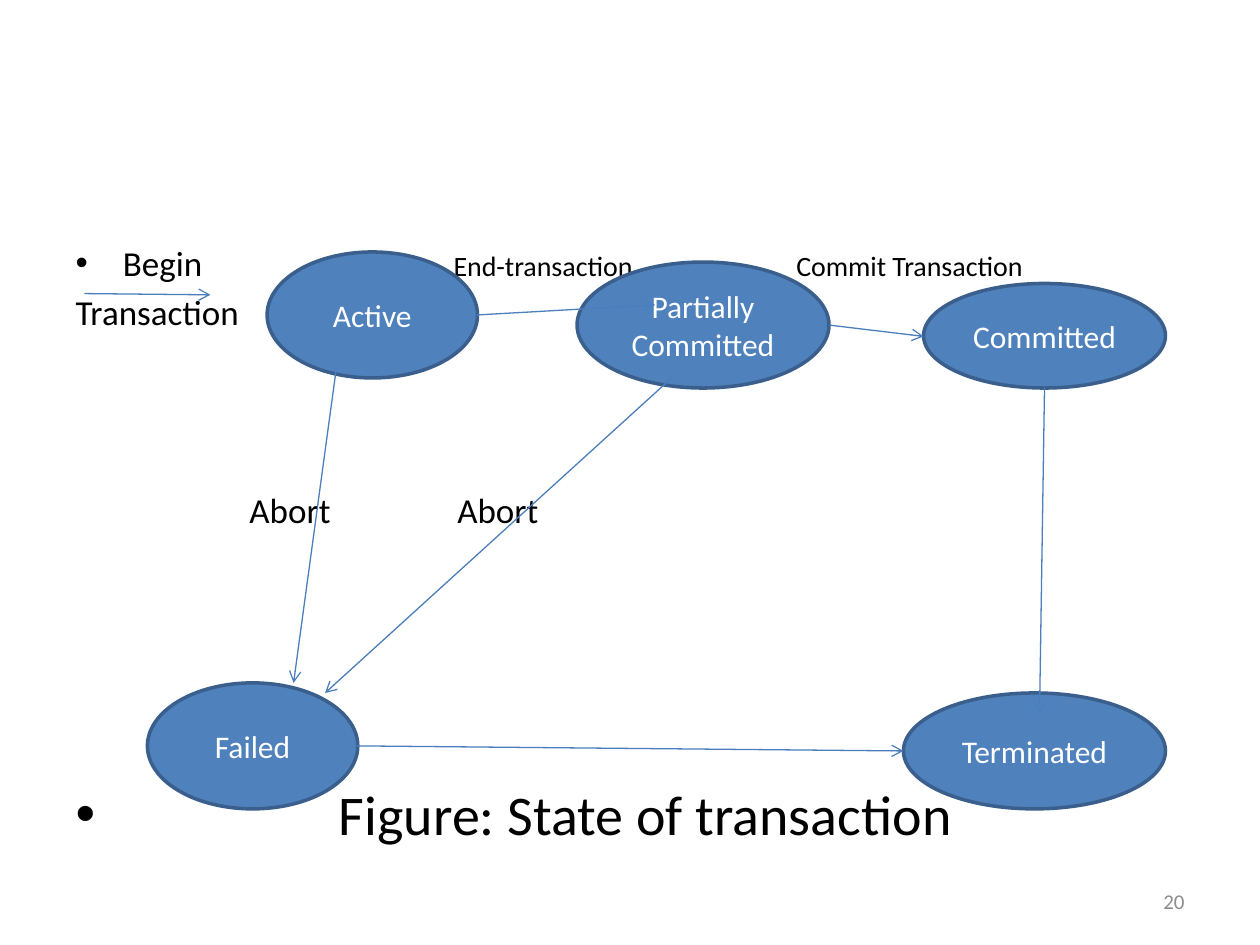
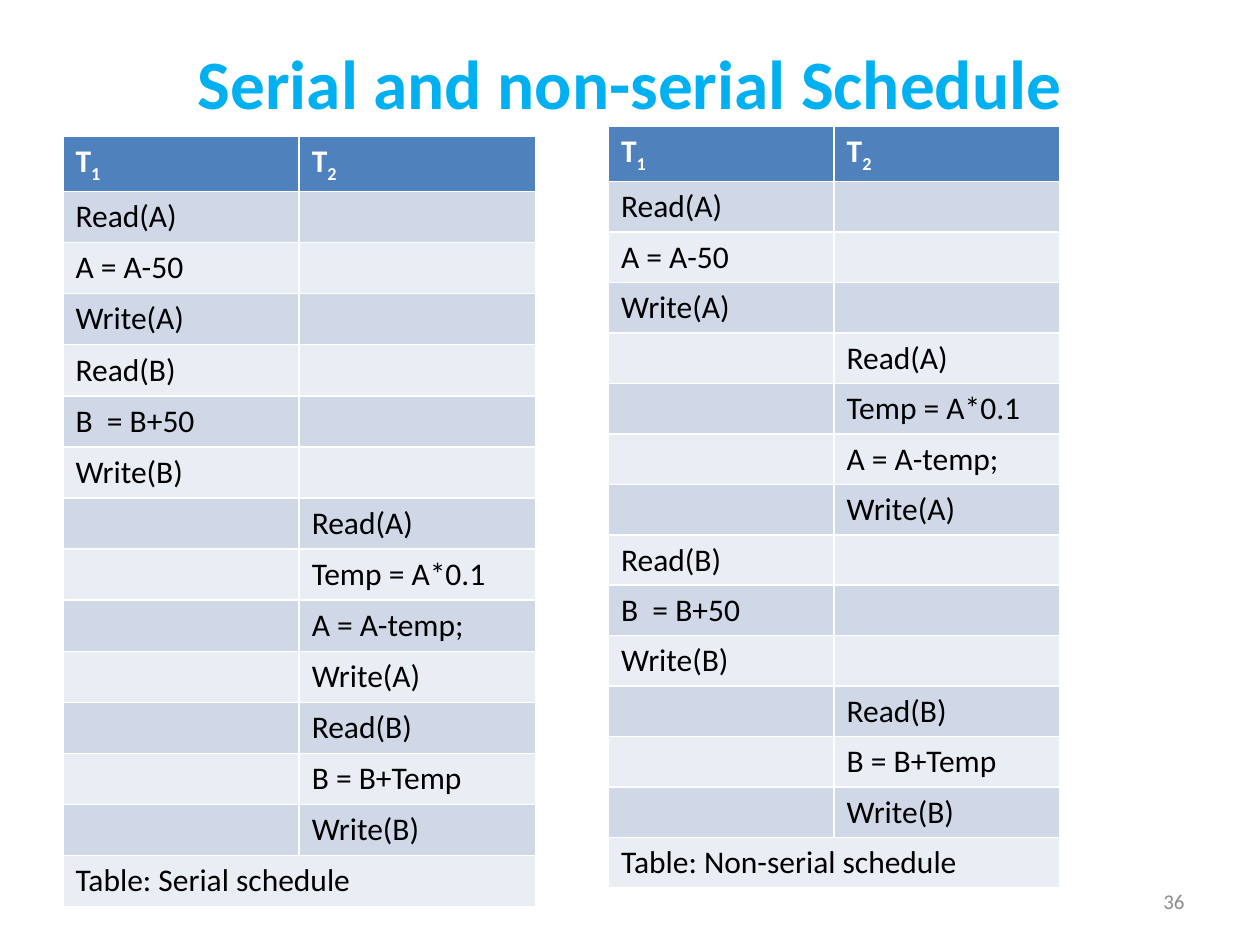
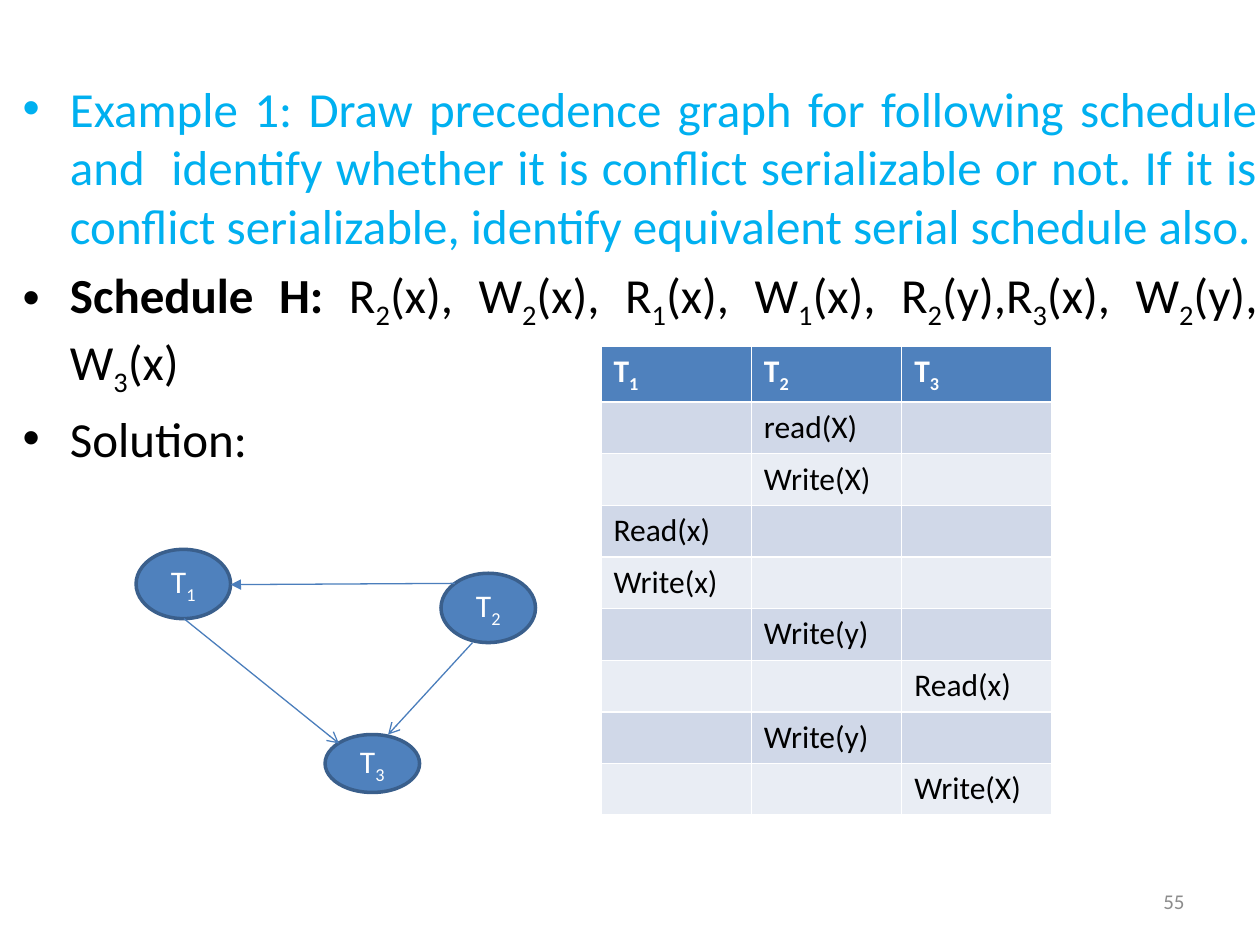
import pptx
import pptx.util
import pptx.dml.color
import pptx.enum.shapes
import pptx.enum.text
import pptx.oxml.ns
import lxml.etree

Inches, Pt = pptx.util.Inches, pptx.util.Pt
ALIGN = pptx.enum.text.PP_ALIGN
ANCHOR = pptx.enum.text.MSO_ANCHOR
qn = pptx.oxml.ns.qn

FONT = "Calibri"
COLORS = {
    "text": "000000",
    "accent": "00B0F0",
    "node": "4F81BD",
    "node_edge": "3A5F8C",
    "arrow": "4B7EBC",
    "white": "FFFFFF",
    "band_dark": "D0D8E8",
    "band_light": "E9EDF4",
    "page": "8C8C8C",
}


def rgb(name):
    return pptx.dml.color.RGBColor.from_string(COLORS[name])


def style(run, size, color="text", bold=False):
    run.font.name = FONT
    run.font.size = Pt(size)
    run.font.bold = bold
    run.font.color.rgb = rgb(color)


def write(paragraph, text, size, color="text", bold=False):
    """Append text in which "_" lowers the next character to a subscript."""
    plain, *lowered = text.split("_")
    pieces = [(plain, False)]
    for part in lowered:
        pieces += [(part[0], True), (part[1:], False)]
    for piece, subscript in pieces:
        if piece:
            run = paragraph.add_run()
            run.text = piece
            style(run, size, color, bold)
            if subscript:
                run.font._element.set("baseline", "-25000")


def place(shape, left, top, width, height):
    shape.left, shape.top = Inches(left), Inches(top)
    shape.width, shape.height = Inches(width), Inches(height)


def add_label(slide, text, left, top, width, height, size, color="text"):
    box = slide.shapes.add_textbox(Inches(left), Inches(top), Inches(width), Inches(height))
    frame = box.text_frame
    frame.word_wrap = True
    write(frame.paragraphs[0], text, size, color)
    return frame


def add_transition_label(slide, text, left, top, size):
    frame = add_label(slide, text, left, top, 2, 0.35, size)
    frame.margin_left = frame.margin_right = frame.margin_top = frame.margin_bottom = 0


def add_page_number(slide, number):
    frame = add_label(slide, str(number), 7.17, 6.95, 2.33, 0.4, 12, "page")
    frame.vertical_anchor = ANCHOR.MIDDLE
    frame.paragraphs[0].alignment = ALIGN.RIGHT


def add_body_slide(deck, left, top, width, height):
    """Add a slide without a title and return it with its body text frame."""
    slide = deck.slides.add_slide(deck.slide_layouts[1])
    title = slide.shapes.title._element
    title.getparent().remove(title)
    body = slide.placeholders[1]
    place(body, left, top, width, height)
    body.text_frame.auto_size = pptx.enum.text.MSO_AUTO_SIZE.NONE
    return slide, body.text_frame


def add_node(slide, text, left, top, width, height):
    node = slide.shapes.add_shape(
        pptx.enum.shapes.MSO_SHAPE.OVAL,
        Inches(left), Inches(top), Inches(width), Inches(height))
    node.shadow.inherit = False
    node.fill.solid()
    node.fill.fore_color.rgb = rgb("node")
    node.line.color.rgb = rgb("node_edge")
    node.line.width = Pt(2)
    node.text_frame.vertical_anchor = ANCHOR.MIDDLE
    paragraph = node.text_frame.paragraphs[0]
    paragraph.alignment = ALIGN.CENTER
    write(paragraph, text, 18, "white")


def add_arrow(slide, start, end, head="arrow"):
    arrow = slide.shapes.add_connector(
        pptx.enum.shapes.MSO_CONNECTOR.STRAIGHT, *map(Inches, start + end))
    arrow.line.color.rgb = rgb("arrow")
    arrow.line.width = Pt(0.75)
    properties = arrow._element.spPr
    lxml.etree.SubElement(properties.find(qn("a:ln")), qn("a:tailEnd"), type=head)
    lxml.etree.SubElement(properties, qn("a:effectLst"))


def fill_cell(cell, text, fill, color="text", bold=False):
    cell.fill.solid()
    cell.fill.fore_color.rgb = rgb(fill)
    write(cell.text_frame.paragraphs[0], text, 18, color, bold)


def add_schedule(slide, transactions, steps, left, top, width, height, row_height, caption=None):
    """Draw a schedule; each step is (transaction number, operation)."""
    row_count = 1 + len(steps) + bool(caption)
    table = slide.shapes.add_table(
        row_count, transactions,
        Inches(left), Inches(top), Inches(width), Inches(height)).table
    for row in table.rows:
        row.height = Inches(row_height)
    for column in range(transactions):
        fill_cell(table.cell(0, column), f"T_{column + 1}", "node", "white", True)
    lines = list(steps) + ([(1, caption)] if caption else [])
    for row, (transaction, operation) in enumerate(lines, 1):
        band = "band_dark" if row % 2 else "band_light"
        for column in range(transactions):
            text = operation if column + 1 == transaction else ""
            fill_cell(table.cell(row, column), text, band)
    if caption:
        table.cell(row_count - 1, 0).merge(table.cell(row_count - 1, transactions - 1))


def build_states(deck):
    slide, body = add_body_slide(deck, 0.5, 0.25, 9, 6.75)
    body.margin_top = Inches(1.67)
    body.text = "Begin\nTransaction\nFigure: State of transaction"
    begin, transaction, caption = body.paragraphs
    for paragraph, size in ((begin, 20), (transaction, 20), (caption, 32)):
        style(paragraph.runs[0], size)
    lxml.etree.SubElement(transaction._p.get_or_add_pPr(), qn("a:buNone"))
    caption.space_before = Pt(255)
    caption_indent = Inches(2.09)
    caption._p.get_or_add_pPr().set("marL", str(caption_indent))
    caption._p.get_or_add_pPr().set("indent", str(-caption_indent))

    add_transition_label(slide, "End-transaction", 3.6, 1.97, 16)
    add_transition_label(slide, "Commit Transaction", 6.32, 1.97, 16)
    for left in (1.98, 3.63):
        add_transition_label(slide, "Abort", left, 3.88, 20)
    add_page_number(slide, 20)

    for state in (
        ("Active", 2.12, 2, 1.67, 1),
        ("Partially Committed", 4.58, 2.08, 2, 1),
        ("Failed", 1.17, 5.42, 1.67, 1),
        ("Terminated", 7.17, 5.5, 2.08, 0.92),
        ("Committed", 7.33, 2.25, 1.92, 0.83),
    ):
        add_node(slide, *state)
    for start, end in (
        ((3.78, 2.5), (5.2, 2.42)),
        ((6.58, 2.58), (7.33, 2.67)),
        ((8.29, 3.08), (8.25, 5.67)),
        ((2.83, 5.92), (7.17, 5.96)),
        ((2.67, 2.92), (2.33, 5.42)),
        ((5.33, 3), (2.58, 5.5)),
        ((0.67, 2.33), (1.67, 2.34)),
    ):
        add_arrow(slide, start, end)


def build_schedules(deck):
    slide = deck.slides.add_slide(deck.slide_layouts[5])
    title = slide.shapes.title
    place(title, 0.5, 0.3, 9, 0.7)
    title.text_frame.text = "Serial and non-serial Schedule"
    style(title.text_frame.paragraphs[0].runs[0], 39.6, "accent", True)

    first_a = [(1, step) for step in ("Read(A)", "A = A-50", "Write(A)")]
    first_b = [(1, step) for step in ("Read(B)", "B  = B+50", "Write(B)")]
    second_a = [(2, step) for step in ("Read(A)", "Temp = A*0.1", "A = A-temp;", "Write(A)")]
    second_b = [(2, step) for step in ("Read(B)", "B = B+Temp", "Write(B)")]
    add_schedule(slide, 2, first_a + first_b + second_a + second_b,
                 0.5, 1.08, 3.75, 6, 0.35, "Table: Serial schedule")
    add_page_number(slide, 36)
    add_schedule(slide, 2, first_a + second_a + first_b + second_b,
                 4.83, 1, 3.58, 6, 0.32, "Table: Non-serial schedule")


def build_precedence(deck):
    slide, body = add_body_slide(deck, 0.08, 0.57, 10, 6.58)
    question = body.paragraphs[0]
    write(question, "Example 1: Draw precedence graph for following schedule and  identify "
          "whether it is conflict serializable or not. If it is conflict serializable, "
          "identify equivalent serial schedule also.", 28, "accent")
    history = body.add_paragraph()
    write(history, "Schedule H:", 28, bold=True)
    write(history, " R_2(x), W_2(x), R_1(x), W_1(x), R_2(y),R_3(x), W_2(y), W_3(x)", 28)
    write(body.add_paragraph(), "Solution:", 28)
    for paragraph in body.paragraphs:
        paragraph.alignment = ALIGN.JUSTIFY
    add_page_number(slide, 55)

    steps = [(2, "read(X)"), (2, "Write(X)"), (1, "Read(x)"), (1, "Write(x)"),
             (2, "Write(y)"), (3, "Read(x)"), (2, "Write(y)"), (3, "Write(X)")]
    add_schedule(slide, 3, steps, 4.77, 2.75, 3.58, 3.71, 0.41)

    add_node(slide, "T_2", 3.5, 4.55, 0.75, 0.55)
    add_node(slide, "T_1", 1.08, 4.36, 0.75, 0.55)
    add_node(slide, "T_3", 2.58, 5.83, 0.75, 0.46)
    add_arrow(slide, (1.46, 4.91), (2.69, 5.9))
    add_arrow(slide, (3.75, 5.1), (3.08, 5.83))
    add_arrow(slide, (3.61, 4.63), (1.83, 4.64), "triangle")


def main():
    deck = pptx.Presentation()
    deck.slide_width, deck.slide_height = Inches(10), Inches(7.5)
    build_states(deck)
    build_schedules(deck)
    build_precedence(deck)
    deck.save("out.pptx")


if __name__ == "__main__":
    main()
